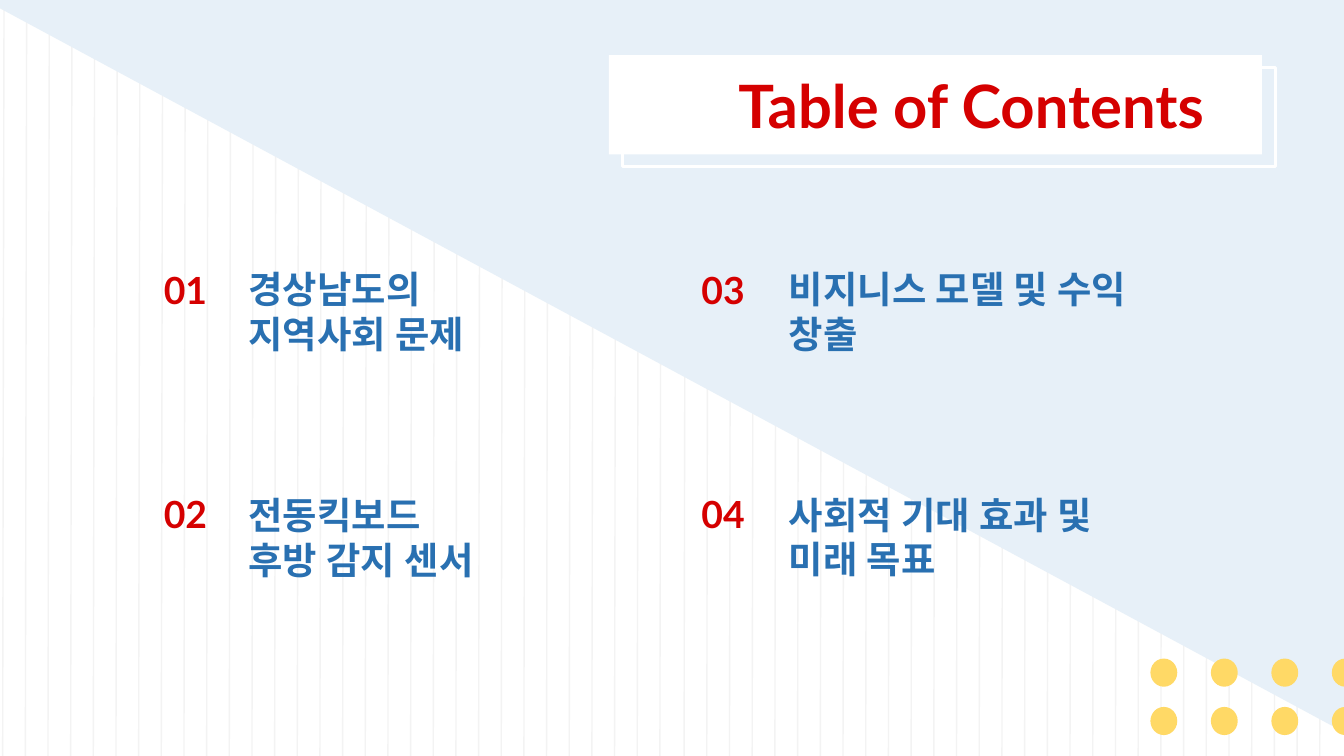
"""Build a table of contents slide with four numbered topics."""
from lxml import etree
from pptx import Presentation
from pptx.dml.color import RGBColor
from pptx.enum.shapes import MSO_CONNECTOR, MSO_SHAPE
from pptx.enum.text import MSO_ANCHOR, MSO_AUTO_SIZE, PP_ALIGN
from pptx.oxml.ns import qn
from pptx.util import Inches, Pt

LINE = MSO_CONNECTOR.STRAIGHT
RECT, DOT, WEDGE = MSO_SHAPE.RECTANGLE, MSO_SHAPE.OVAL, MSO_SHAPE.RIGHT_TRIANGLE
TOP, BOTTOM = MSO_ANCHOR.TOP, MSO_ANCHOR.BOTTOM
LEFT, RIGHT = PP_ALIGN.LEFT, PP_ALIGN.RIGHT
FIXED = MSO_AUTO_SIZE.NONE
WHITE, GREY, PALE, GOLD = "FFFFFF", "F3F3F3", "E7F0F8", "FFD966"
RED, BLUE = "D50000", "2970B1"
FONT = "Lato"


def add_shape(kind, left, top, width, height, fill=None, line=None):
    shape = slide.shapes.add_shape(
        kind, Inches(left), Inches(top), Inches(width), Inches(height))
    shape.shadow.inherit = False
    if fill:
        shape.fill.solid()
        shape.fill.fore_color.rgb = RGBColor.from_string(fill)
    else:
        shape.fill.background()
    if line:
        shape.line.color.rgb = RGBColor.from_string(line)
        shape.line.width = Pt(1.5)
    else:
        shape.line.fill.background()
    return shape


def set_text(box, text, size, color, align, anchor):
    frame = box.text_frame
    frame.text = text
    frame.word_wrap = True
    frame.auto_size = FIXED
    frame.vertical_anchor = anchor
    frame.margin_left = frame.margin_right = Inches(0.1)
    frame.margin_top = frame.margin_bottom = Inches(0.1)
    for para in frame.paragraphs:
        para.alignment = align
        for run in para.runs:
            run.font.size = Pt(size)
            run.font.bold = True
            run.font.color.rgb = RGBColor.from_string(color)
            run.font.name = FONT
            etree.SubElement(run._r.get_or_add_rPr(), qn("a:ea"), typeface=FONT)


deck = Presentation()
deck.slide_width, deck.slide_height = Inches(10), Inches(10) * 9 // 16
slide = deck.slides.add_slide(deck.slide_layouts[5])
slide.background.fill.solid()
slide.background.fill.fore_color.rgb = RGBColor.from_string(WHITE)

for first, last, count in [(0.03, 4.92, 30), (5.1, 9.83, 29)]:
    for i in range(count):
        x = first + (last - first) * i / (count - 1)
        stripe = slide.shapes.add_connector(
            LINE, Inches(x), Inches(-0.06), Inches(x - 0.01), Inches(5.66))
        stripe.line.color.rgb = RGBColor.from_string(GREY)
        stripe.line.width = Pt(0.75)
        etree.SubElement(stripe._element.spPr, qn("a:effectLst"))

wedge = add_shape(WEDGE, -0.32, -0.11, 10.62, 5.72, PALE)
wedge.rotation = 180

for row in range(2):
    for col in range(4):
        add_shape(DOT, 8.56 + 0.45 * col, 4.9 + 0.36 * row, 0.2, 0.21, GOLD)

add_shape(RECT, 4.53, 0.41, 4.86, 0.74, WHITE)
add_shape(RECT, 4.63, 0.5, 4.86, 0.74, line=WHITE)

title = slide.shapes.title
title.left, title.top = Inches(4.91), Inches(0.41)
title.width, title.height = Inches(4.15), Inches(0.6)
set_text(title, "Table of Contents", 32, RED, RIGHT, TOP)
title.element.getparent().append(title.element)

topics = [
    ("01", "경상남도의\n지역사회 문제", 0.74, 1.75, 1.91, 1.88, 0.71),
    ("02", "전동킥보드\n후방 감지 센서", 0.74, 1.75, 3.58, 3.56, 0.71),
    ("03", "비지니스 모델 및 수익 창출", 4.74, 5.77, 1.91, 1.88, 0.76),
    ("04", "사회적 기대 효과 및 미래 목표", 4.74, 5.77, 3.58, 3.56, 0.76),
]
for num, topic, near, far, low, high, tall in topics:
    box = slide.shapes.add_textbox(
        Inches(near), Inches(low), Inches(0.9), Inches(0.51))
    set_text(box, num, 20, RED, RIGHT, BOTTOM)
    box = slide.shapes.add_textbox(
        Inches(far), Inches(high), Inches(2.81), Inches(tall))
    set_text(box, topic, 20, BLUE, LEFT, TOP)

deck.save("out.pptx")
